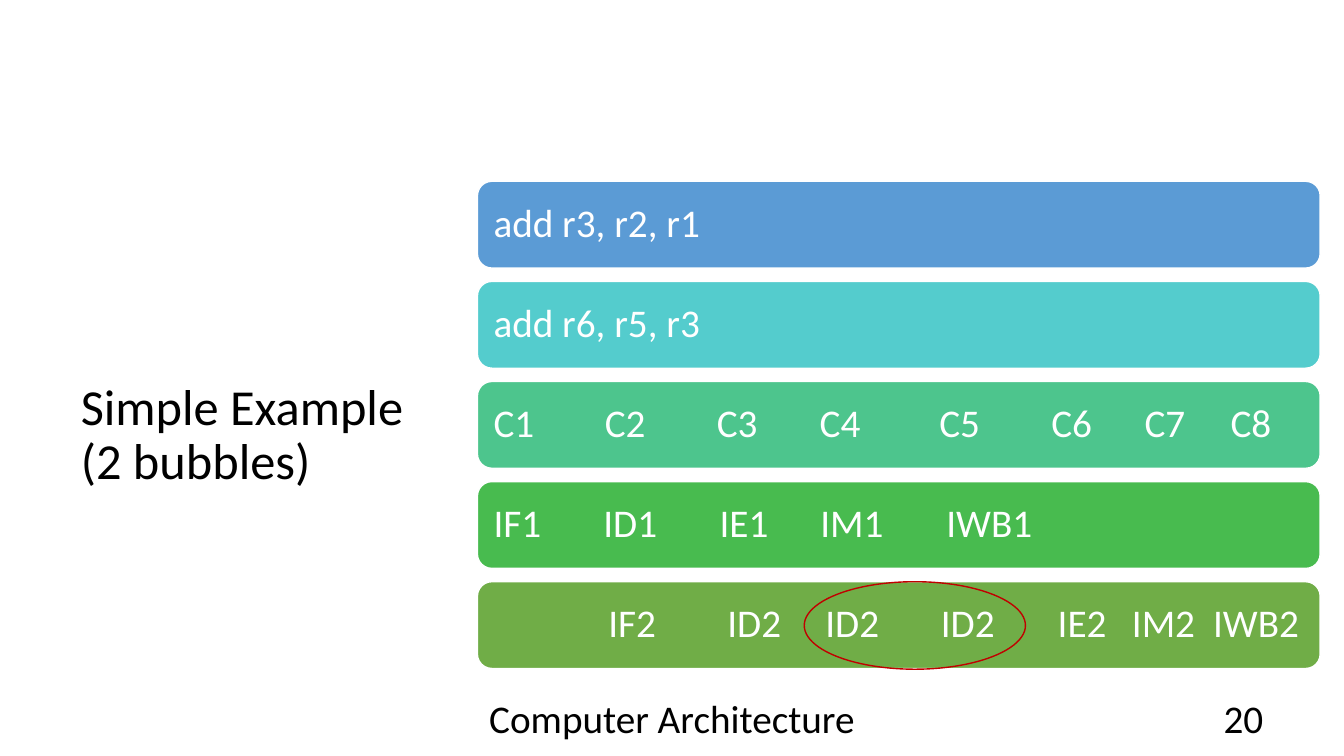
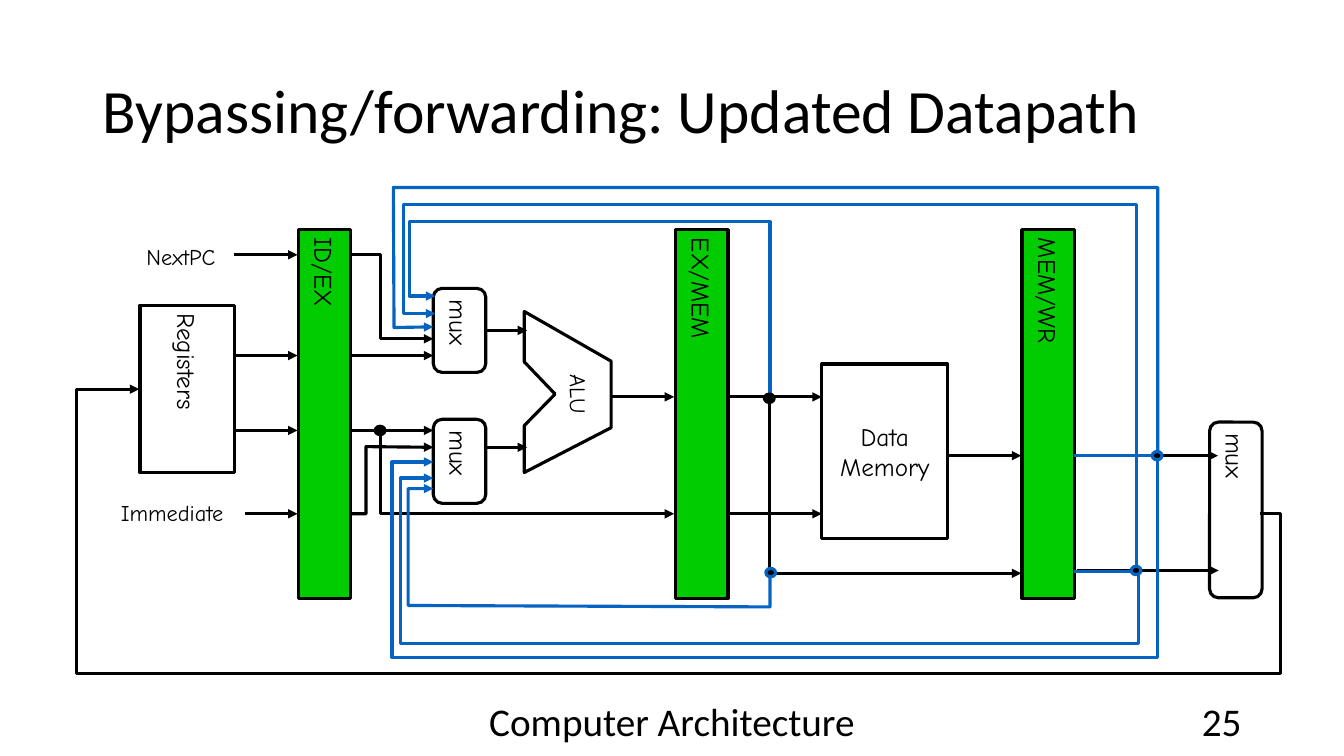
"""Build two slides on pipeline bubbles and the forwarding datapath."""
from dataclasses import dataclass
from typing import Optional

from lxml import etree
from pptx import Presentation
from pptx import util as u
from pptx.dml import color as dml
from pptx.enum import shapes, text
from pptx.oxml import ns

BLACK = dml.RGBColor(0x00, 0x00, 0x00)
WHITE = dml.RGBColor(0xFF, 0xFF, 0xFF)
BLUE = dml.RGBColor(0x05, 0x63, 0xC1)
GREEN = dml.RGBColor(0x00, 0xCC, 0x00)
RED = dml.RGBColor(0xC0, 0x00, 0x00)
SKY = dml.RGBColor(0x5B, 0x9B, 0xD5)
TURQUOISE = dml.RGBColor(0x54, 0xCC, 0xCD)
MINT = dml.RGBColor(0x4D, 0xC5, 0x8D)
GRASS = dml.RGBColor(0x48, 0xBB, 0x4F)
OLIVE = dml.RGBColor(0x70, 0xAD, 0x47)

BODY_FONT, DIAGRAM_FONT = "Calibri", "Comic Neue"
KIND = shapes.MSO_SHAPE
ALIGN = text.PP_ALIGN
LEFT, CENTER, RIGHT = ALIGN.LEFT, ALIGN.CENTER, ALIGN.RIGHT
WIRE_WIDTH = 2.25
ROW_LEFT, ROW_TOP, ROW_WIDTH, ROW_HEIGHT, ROW_PITCH = 341, 129.5, 602, 62, 71.5
STAGE_TOP, STAGE_HEIGHT, BLOCK_WIDTH = 164, 263.5, 37.5

Point = tuple[float, float]
Box = tuple[float, float, float, float]


@dataclass(frozen=True)
class Row:
    """A coloured bar whose entries start at tab stops."""
    fill: dml.RGBColor
    entries: str
    stops: tuple[float, ...] = ()


@dataclass(frozen=True)
class Block:
    """A component of the datapath."""
    label: str
    box: Box
    fill: Optional[dml.RGBColor] = None
    kind: KIND = KIND.RECTANGLE
    vertical: bool = True


@dataclass(frozen=True)
class Wire:
    """An arrow along a run of points."""
    points: tuple[Point, ...]
    color: dml.RGBColor = BLACK


@dataclass(frozen=True)
class Label:
    """A free caption in the datapath."""
    words: str
    box: Box
    rotation: float = 0


ROWS = (
    Row(SKY, "add r3, r2, r1"),
    Row(TURQUOISE, "add r6, r5, r3"),
    Row(MINT, "C1\tC2\tC3\tC4\tC5\tC6\tC7\tC8", (79.5, 159.5, 233, 318.5, 398.5, 465, 526.5)),
    Row(GRASS, "IF1\tID1\tIE1\tIM1\tIWB1", (78.5, 161.5, 233.5, 323.5)),
    Row(OLIVE, "\tIF2\tID2\tID2\tID2\tIE2\tIM2\tIWB2", (82, 167, 237, 319.5, 403, 456, 514)),
)

STAGES = tuple(
    Block(name, (left, STAGE_TOP, BLOCK_WIDTH, STAGE_HEIGHT), GREEN)
    for name, left in (("ID/EX", 213), ("EX/MEM", 482.5), ("MEM/WR", 730))
)
UPPER_MUX = Block("mux", (309.5, 206, BLOCK_WIDTH, 60), kind=KIND.ROUNDED_RECTANGLE)
BLOCKS = STAGES + (
    UPPER_MUX,
    Block("mux", (309.5, 299.5, BLOCK_WIDTH, 60), kind=KIND.ROUNDED_RECTANGLE),
    Block("mux", (864, 301.5, BLOCK_WIDTH, 125.5), kind=KIND.ROUNDED_RECTANGLE),
    Block("Registers", (100, 218, 67.5, 119.5)),
    Block("Data\nMemory", (587, 260, 90, 125), vertical=False),
)
ALU = ((374.5, 222.5), (436.5, 258), (436.5, 305.5), (374.5, 337.5),
       (374.5, 304), (396.5, 281.5), (374.5, 258.5))
LABELS = (
    Label("NextPC", (85, 170, 88.5, 26.5)),
    Label("Immediate", (63.5, 353, 119, 26.5)),
    Label("ALU", (390, 265, 47, 33), 90),
)
STRAIGHT = (
    (347, 376.5, 319.5), (167, 212.5, 254), (167, 212.5, 307.5),
    (250, 309.5, 254), (250, 309.5, 307.5), (167, 212.5, 182), (175, 212.5, 367),
    (519, 587, 367), (436.5, 481.5, 283.5), (519, 587, 283.5), (677, 729.5, 325.5),
    (769, 870.5, 407.5), (767.5, 870, 325.5),
)
WIRES = tuple(Wire(((start, y), (end, y))) for start, end, y in STRAIGHT) + (
    Wire(((250, 182), (272, 182), (272, 242), (309.5, 242))),
    Wire(((250, 367), (261.5, 367), (261.5, 319), (309.5, 319.5))),
    Wire(((272, 307.5), (272, 367), (481.5, 367))),
    Wire(((549.5, 283.5), (549.5, 409.5), (729.5, 409.5))),
    Wire(((900, 367), (914.5, 367), (914.5, 481), (54.5, 481), (54.5, 278), (99.5, 278))),
    Wire(((550, 409.5), (550, 433.5), (291.5, 432.5), (291.5, 349), (309.5, 349)), BLUE),
    Wire(((827, 325.5), (827, 134), (281, 134), (281.5, 234), (309.5, 233.5)), BLUE),
    Wire(((767.5, 408), (813, 408), (813, 460), (286, 460), (286, 341.5), (309.5, 341.5)), BLUE),
    Wire(((767.5, 325.5), (827, 325.5), (827, 469.5), (280, 469.5), (280, 330), (309.5, 330)), BLUE),
    Wire(((550, 283.5), (550, 158.5), (292.5, 158.5), (292.5, 211.5), (311, 211.5)), BLUE),
    Wire(((812, 409.5), (812, 146), (288.5, 146), (288.5, 224), (311, 224)), BLUE),
)
JUNCTIONS = ((549.5, 284.5, BLACK), (271.5, 307.5, BLACK), (550.5, 409, BLUE),
             (811.5, 407.5, BLUE), (826.5, 325.5, BLUE))


def place(box: Box) -> tuple[u.Length, ...]:
    """Turn a box in points into lengths."""
    return tuple(u.Pt(side) for side in box)


def write(shape, words: str, size: float, font: str, color: dml.RGBColor = BLACK,
          align: ALIGN = LEFT, spacing: float = 1.0, **frame_format) -> None:
    """Fill a shape with evenly formatted text."""
    frame = shape.text_frame
    frame.text = words
    frame_values = {"word_wrap": True, "auto_size": text.MSO_AUTO_SIZE.NONE,
                    "vertical_anchor": text.MSO_ANCHOR.MIDDLE, **frame_format}
    for key, value in frame_values.items():
        setattr(frame, key, value)
    for paragraph in frame.paragraphs:
        for key, value in {"alignment": align, "line_spacing": spacing}.items():
            setattr(paragraph, key, value)
        for run in paragraph.runs:
            for key, value in {"size": u.Pt(size), "name": font}.items():
                setattr(run.font, key, value)
            run.font.color.rgb = color


def outline(shape, color: dml.RGBColor, width: float) -> None:
    """Set the colour and width of a line."""
    shape.line.color.rgb = color
    shape.line.width = u.Pt(width)


def paint(shape, fill: Optional[dml.RGBColor], color: dml.RGBColor, width: float) -> None:
    """Give a shape its fill and outline without a shadow."""
    shape.shadow.inherit = False
    if fill is None:
        shape.fill.background()
    else:
        shape.fill.solid()
        shape.fill.fore_color.rgb = fill
    outline(shape, color, width)


def add_title(slide, words: str, box: Box, size: float) -> None:
    """Move and format the title placeholder."""
    title = slide.shapes.title
    for key, value in zip(("left", "top", "width", "height"), place(box)):
        setattr(title, key, value)
    write(title, words, size, BODY_FONT, spacing=0.9)


def add_footer(slide, number: str, number_left: float, spacing: float) -> None:
    """Add the course name and the slide number."""
    for words, left, width, align in (("Computer Architecture", 318, 324, CENTER),
                                      (number, number_left, 216, RIGHT)):
        box = slide.shapes.add_textbox(*place((left, 500.5, width, 28.5)))
        write(box, words, 28, BODY_FONT, align=align, spacing=spacing)


def add_row(slide, row: Row, index: int) -> None:
    """Draw one bar of the pipeline chart."""
    bar = slide.shapes.add_shape(
        KIND.ROUNDED_RECTANGLE,
        *place((ROW_LEFT, ROW_TOP + index * ROW_PITCH, ROW_WIDTH, ROW_HEIGHT)))
    paint(bar, row.fill, WHITE, 1)
    write(bar, row.entries, 28, BODY_FONT, WHITE, spacing=0.9,
          margin_left=u.Pt(8.5), margin_right=u.Pt(0))
    if row.stops:
        properties = bar.text_frame.paragraphs[0]._p.get_or_add_pPr()
        tabs = etree.SubElement(properties, ns.qn("a:tabLst"))
        for stop in row.stops:
            etree.SubElement(tabs, ns.qn("a:tab"), pos=str(int(u.Pt(stop))), algn="l")


def add_block(slide, block: Block):
    """Draw one datapath component and return it."""
    shape = slide.shapes.add_shape(block.kind, *place(block.box))
    paint(shape, block.fill, BLACK, WIRE_WIDTH)
    if block.kind == KIND.ROUNDED_RECTANGLE:
        shape.adjustments[0] = 0.17
    margins = {f"margin_{side}": u.Pt(6) for side in ("left", "top", "right", "bottom")}
    write(shape, block.label, 18, DIAGRAM_FONT,
          align=LEFT if block.vertical else CENTER, **margins)
    if block.vertical:
        shape.text_frame._txBody.bodyPr.set("vert", "eaVert")
    return shape


def add_path(slide, points: tuple[Point, ...], close: bool, color: dml.RGBColor):
    """Draw an unfilled run of line segments."""
    (start, *rest) = [(u.Pt(x), u.Pt(y)) for x, y in points]
    builder = slide.shapes.build_freeform(*start)
    builder.add_line_segments(rest, close=close)
    shape = builder.convert_to_shape()
    paint(shape, None, color, WIRE_WIDTH)
    return shape


def add_arrow(slide, wire: Wire):
    """Draw a wire that ends in an arrowhead."""
    if len(wire.points) > 2:
        arrow = add_path(slide, wire.points, False, wire.color)
    else:
        ends = [u.Pt(value) for point in wire.points for value in point]
        arrow = slide.shapes.add_connector(shapes.MSO_CONNECTOR.STRAIGHT, *ends)
        outline(arrow, wire.color, WIRE_WIDTH)
        etree.SubElement(arrow._element.spPr, ns.qn("a:effectLst"))
    etree.SubElement(arrow.line._get_or_add_ln(), ns.qn("a:tailEnd"), type="triangle")
    return arrow


def build_bubbles(slide) -> None:
    """Build the pipeline example with two bubbles."""
    add_title(slide, "Simple Example\n(2 bubbles)", (50.5, 134, 312, 355.5), 36)
    add_footer(slide, "20", 693.5, 0.9)
    for index, row in enumerate(ROWS):
        add_row(slide, row, index)
    stall = slide.shapes.add_shape(KIND.OVAL, *place((574.5, 415.5, 158, 62.5)))
    paint(stall, None, RED, 1)


def build_datapath(slide) -> None:
    """Build the datapath with its forwarding wires."""
    add_title(slide, "Bypassing/forwarding: Updated Datapath", (66, 29, 828, 104.5), 44)
    add_footer(slide, "25", 678, 1.0)
    drawn = {block: add_block(slide, block) for block in BLOCKS}
    add_path(slide, ALU, True, BLACK)
    for label in LABELS:
        caption = slide.shapes.add_textbox(*place(label.box))
        caption.rotation = label.rotation
        write(caption, label.words, 16, DIAGRAM_FONT, align=CENTER)
    operand = add_arrow(slide, Wire(((347, 236), (376.5, 236))))
    operand.begin_connect(drawn[UPPER_MUX], 3)
    for wire in WIRES:
        add_arrow(slide, wire)
    for x, y, color in JUNCTIONS:
        dot = slide.shapes.add_shape(KIND.OVAL, *place((x - 3.5, y - 3, 7, 6)))
        paint(dot, BLACK, color, WIRE_WIDTH)


def main() -> None:
    """Create and save the presentation."""
    deck = Presentation()
    deck.slide_width, deck.slide_height = u.Pt(960), u.Pt(540)
    title_only = deck.slide_layouts[5]
    for build in (build_bubbles, build_datapath):
        build(deck.slides.add_slide(title_only))
    deck.save("out.pptx")


if __name__ == "__main__":
    main()
